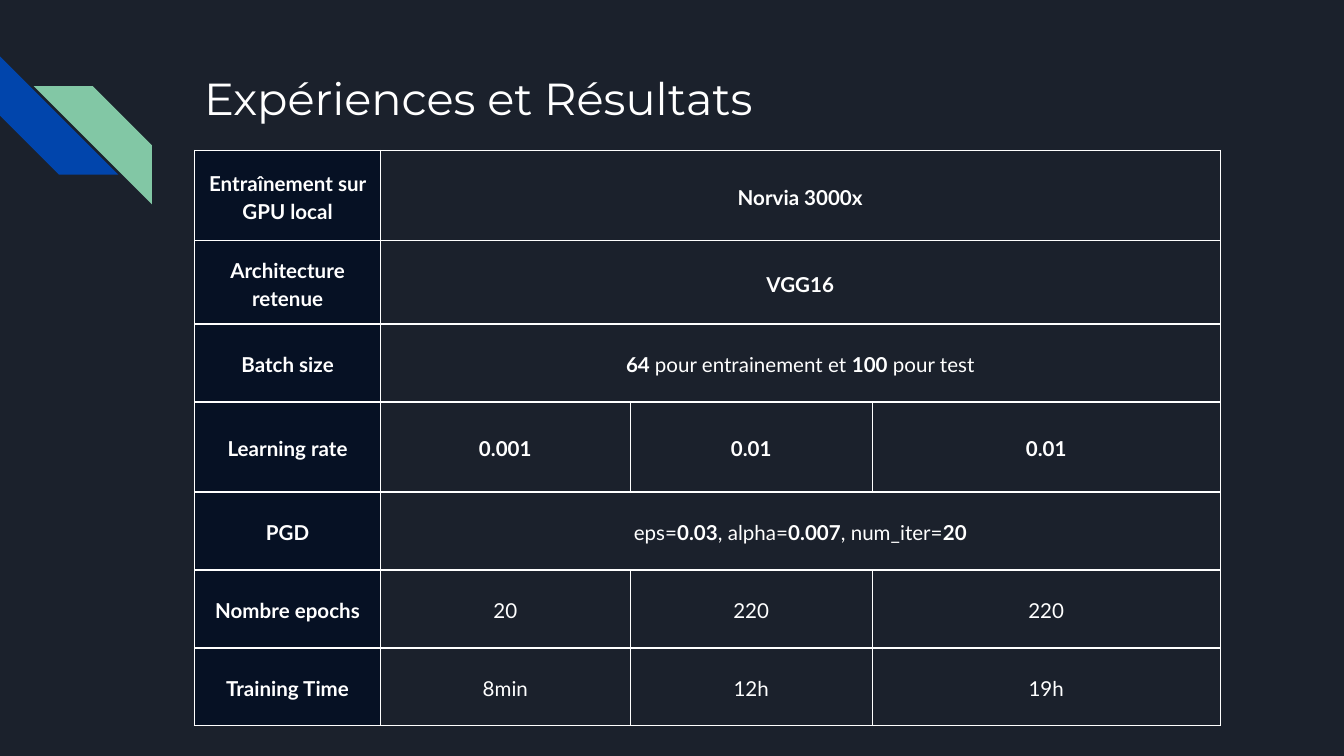
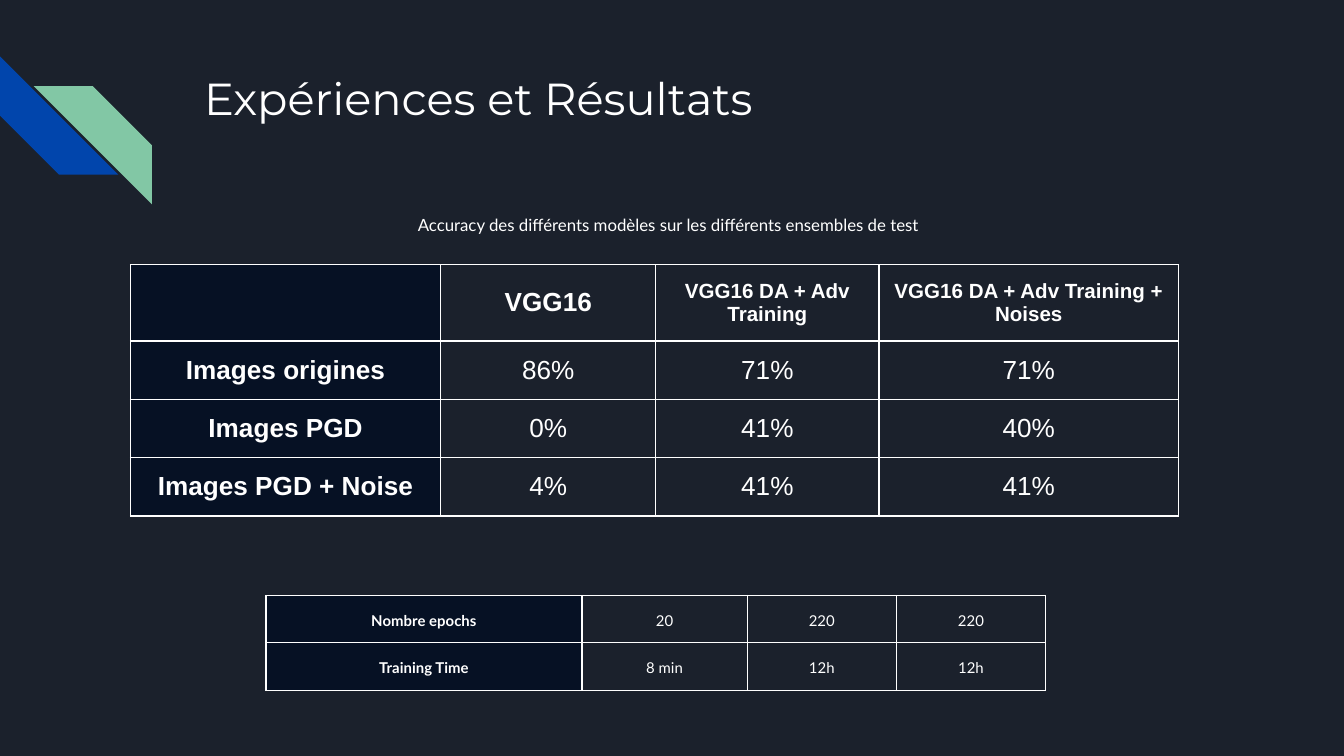
from lxml import etree
from pptx import Presentation
from pptx.dml.color import RGBColor
from pptx.enum.shapes import MSO_SHAPE
from pptx.enum.text import MSO_ANCHOR, PP_ALIGN
from pptx.oxml.ns import qn
from pptx.util import Inches, Pt

STRIPE = MSO_SHAPE.DIAGONAL_STRIPE
MIDDLE = MSO_ANCHOR.MIDDLE
CENTER = PP_ALIGN.CENTER

COLORS = {
    "background": "1B212C",
    "label": "061124",
    "blue": "0145AC",
    "green": "82C7A5",
    "white": "FFFFFF",
}
TITLE = "Expériences et Résultats"
MARGIN = Inches(0.1)


class Deck:
    def __init__(self):
        self.presentation = Presentation()
        self.presentation.slide_width = Inches(10)
        self.presentation.slide_height = Inches(5.625)
        self.slide = None

    def color(self, name):
        return RGBColor.from_string(COLORS[name])

    def add_slide(self):
        self.slide = self.presentation.slides.add_slide(self.presentation.slide_layouts[6])
        fill = self.slide.background.fill
        fill.solid()
        fill.fore_color.rgb = self.color("background")
        self.stripe(0, 0.42, "blue").rotation = 270
        green = self.stripe(0.25, 0.64, "green")
        green._element.spPr.find(qn("a:xfrm")).set("flipH", "1")
        self.text(TITLE, 1.42, 0.43, 7.7, 1, 24, "Montserrat")

    def stripe(self, left, top, color):
        shape = self.slide.shapes.add_shape(
            STRIPE, Inches(left), Inches(top), Inches(0.88), Inches(0.88))
        shape.adjustments[0] = 0.5
        shape.shadow.inherit = False
        shape.fill.solid()
        shape.fill.fore_color.rgb = self.color(color)
        shape.line.fill.background()
        return shape

    def fill_paragraph(self, paragraph, text, size, font):
        paragraph.font.size = Pt(size)
        paragraph.font.name = font
        paragraph.font.color.rgb = self.color("white")
        pieces = [(piece, index % 2 == 1)
                  for index, piece in enumerate(text.split("**")) if piece]
        mixed = len(pieces) > 1
        for piece, bold in pieces:
            run = paragraph.add_run()
            run.text = piece
            target = run if mixed else paragraph
            target.font.bold = bold

    def text(self, text, left, top, width, height, size, font):
        box = self.slide.shapes.add_textbox(
            Inches(left), Inches(top), Inches(width), Inches(height))
        frame = box.text_frame
        frame.word_wrap = True
        frame.margin_left = frame.margin_right = MARGIN
        frame.margin_top = frame.margin_bottom = MARGIN
        self.fill_paragraph(frame.paragraphs[0], text, size, font)

    def borders(self, cell):
        properties = cell._tc.get_or_add_tcPr()
        for index, side in enumerate(("a:lnL", "a:lnR", "a:lnT", "a:lnB")):
            line = etree.Element(qn(side), w=str(Pt(0.75)))
            fill = etree.SubElement(line, qn("a:solidFill"))
            etree.SubElement(fill, qn("a:srgbClr"), val=COLORS["white"])
            properties.insert(index, line)

    def table(self, rows, left, top, widths, heights, size, font, spacing=1.0, small=()):
        frame = self.slide.shapes.add_table(
            len(rows), len(widths), Inches(left), Inches(top),
            Inches(sum(widths)), Inches(sum(heights)))
        table = frame.table
        table.first_row = table.horz_banding = False
        for column, width in zip(table.columns, widths):
            column.width = Inches(width)
        for row, height in zip(table.rows, heights):
            row.height = Inches(height)
        for row, texts in enumerate(rows):
            for column in range(len(widths)):
                cell = table.cell(row, column)
                if column == 0:
                    cell.fill.solid()
                    cell.fill.fore_color.rgb = self.color("label")
                else:
                    cell.fill.background()
                self.borders(cell)
            last = len(texts) - 1
            if last < len(widths) - 1:
                table.cell(row, last).merge(table.cell(row, len(widths) - 1))
            for column, text in enumerate(texts):
                cell = table.cell(row, column)
                cell.vertical_anchor = MIDDLE
                cell.margin_left = cell.margin_right = MARGIN
                cell.margin_top = cell.margin_bottom = MARGIN
                paragraph = cell.text_frame.paragraphs[0]
                paragraph.alignment = CENTER
                paragraph.line_spacing = spacing
                text_size = 11 if (row, column) in small else size
                self.fill_paragraph(paragraph, text, text_size, font)


def settings_slide(deck):
    deck.add_slide()
    rows = [
        ["**Entraînement sur GPU local**", "**Norvia 3000x**"],
        ["**Architecture retenue**", "**VGG16**"],
        ["**Batch size**", "**64 **pour entrainement et **100** pour test"],
        ["**Learning rate**", "**0.001**", "**0.01**", "**0.01**"],
        ["**PGD**", "eps=**0.03**, alpha=**0.007**, num_iter=**20**"],
        ["**Nombre epochs**", "20", "220", "220"],
        ["**Training Time**", "8min", "12h", "19h"],
    ]
    deck.table(rows, 1.45, 1.12, [1.38, 1.86, 1.8, 0.42, 1.36, 0.81],
               [0.67, 0.62, 0.58, 0.67, 0.58, 0.58, 0.58], 11, "Lato", 1.15)


def accuracy_slide(deck):
    deck.add_slide()
    accuracy = [
        ["", "**VGG16**", "**VGG16 DA + Adv Training**", "**VGG16 DA + Adv Training + Noises**"],
        ["**Images origines**", "86%", "71%", "71%"],
        ["**Images PGD**", "0%", "41%", "40%"],
        ["**Images PGD + Noise**", "4%", "41%", "41%"],
    ]
    deck.table(accuracy, 0.97, 1.97, [2.31, 1.6, 1.66, 2.23],
               [0.54, 0.42, 0.42, 0.42], 14, "Arial", small=[(0, 2), (0, 3)])
    deck.text("Accuracy des différents modèles sur les différents ensembles de test",
              3.01, 1.52, 4.28, 0.35, 9, "Lato")
    training = [
        ["**Nombre epochs**", "20", "220", "220"],
        ["**Training Time**", "8 min", "12h", "12h"],
    ]
    deck.table(training, 1.98, 4.43, [2.35, 1.23, 1.11, 1.11], [0.35, 0.35], 8, "Lato", 1.15)


def main():
    deck = Deck()
    settings_slide(deck)
    accuracy_slide(deck)
    deck.presentation.save("out.pptx")


if __name__ == "__main__":
    main()
